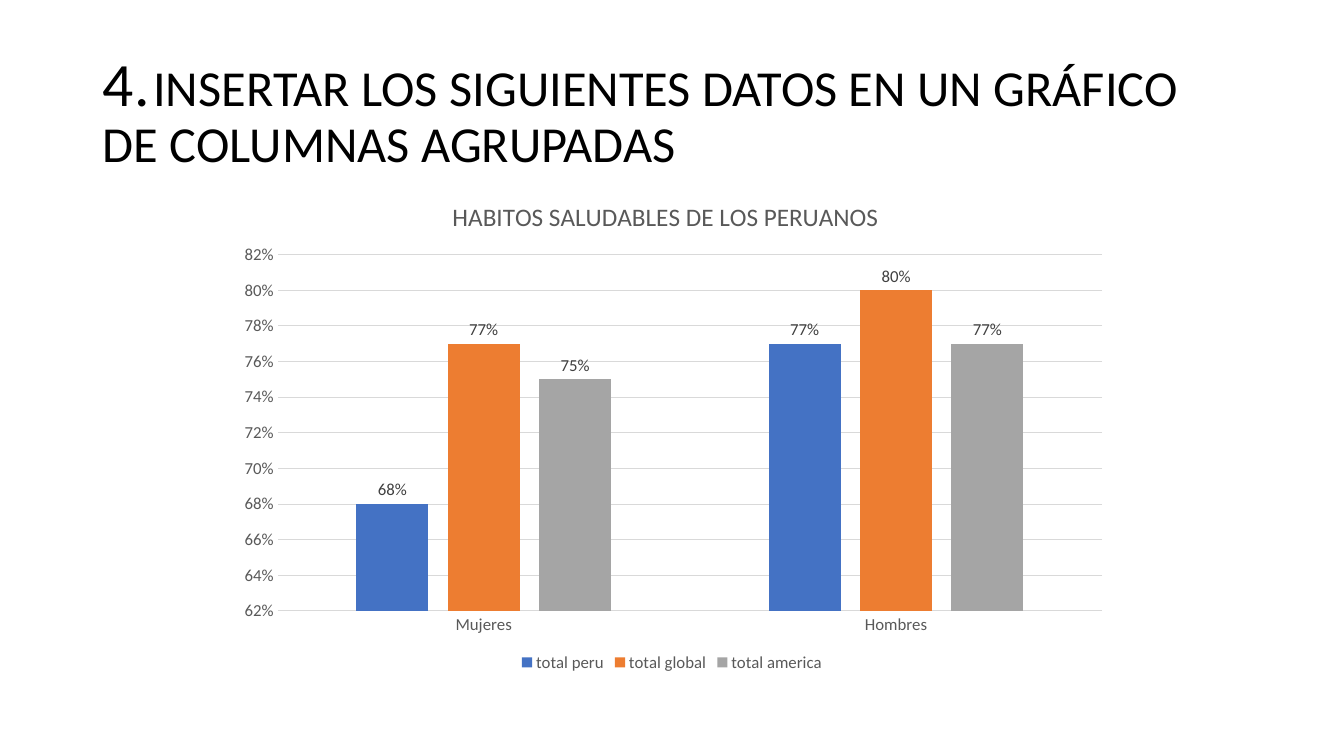
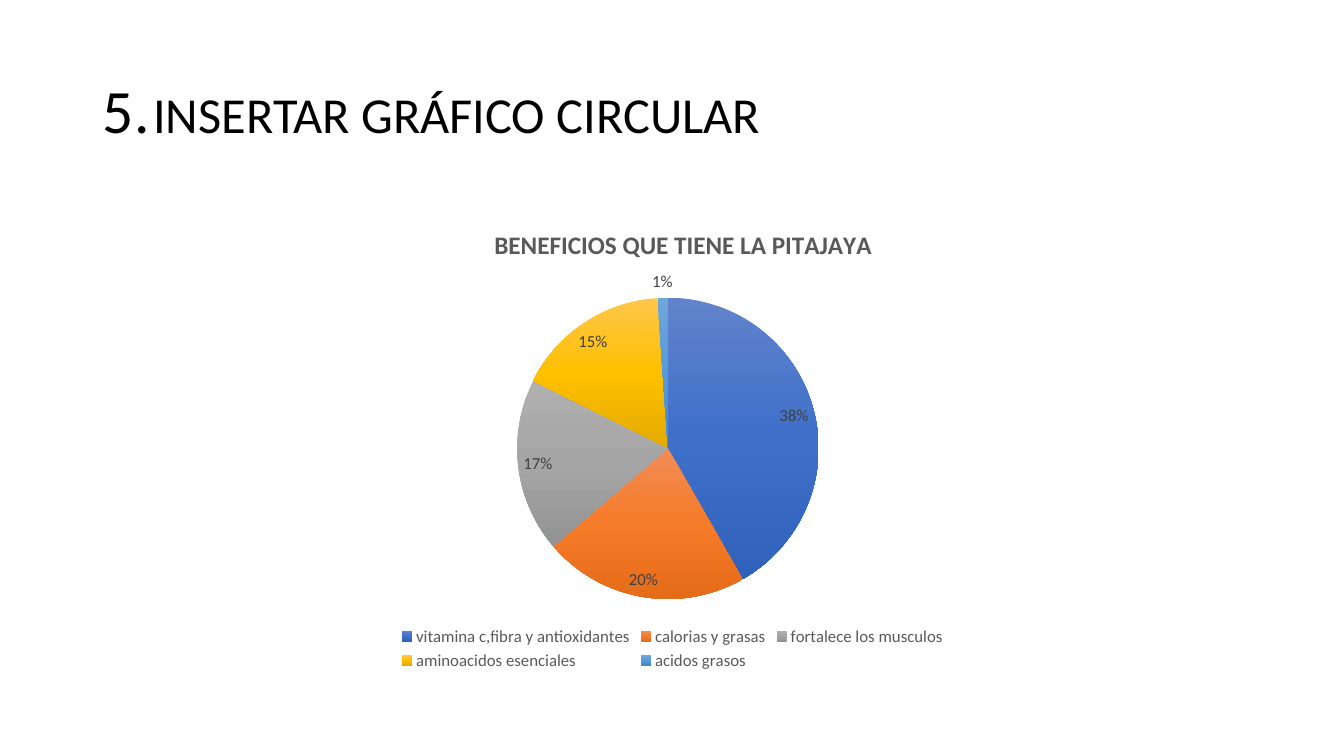
import copy

import pptx
import pptx.chart.data
import pptx.dml.color
import pptx.enum.chart
import pptx.enum.text
import pptx.oxml
import pptx.oxml.ns
import pptx.util

Inches, Pt = pptx.util.Inches, pptx.util.Pt
RGBColor = pptx.dml.color.RGBColor
XL = pptx.enum.chart

FONT = "Calibri"
BLACK = RGBColor(0x00, 0x00, 0x00)
DARK_GRAY = RGBColor(0x40, 0x40, 0x40)
TEXT_GRAY = RGBColor(0x59, 0x59, 0x59)
LINE_GRAY = RGBColor(0xD9, 0xD9, 0xD9)
BAR_COLORS = [RGBColor(0x44, 0x72, 0xC4), RGBColor(0xED, 0x7D, 0x31), RGBColor(0xA5, 0xA5, 0xA5)]
PIE_GRADIENTS = [
    (RGBColor(0x61, 0x83, 0xCB), RGBColor(0x3E, 0x70, 0xCA), RGBColor(0x30, 0x62, 0xBB)),
    (RGBColor(0xF1, 0x8C, 0x57), RGBColor(0xF6, 0x7B, 0x28), RGBColor(0xE5, 0x6C, 0x19)),
    (RGBColor(0xAF, 0xAF, 0xAF), RGBColor(0xA5, 0xA5, 0xA5), RGBColor(0x93, 0x93, 0x93)),
    (RGBColor(0xFF, 0xC6, 0x4B), RGBColor(0xFF, 0xC0, 0x00), RGBColor(0xE3, 0xAB, 0x00)),
    (RGBColor(0x71, 0xA6, 0xDB), RGBColor(0x55, 0x9B, 0xDB), RGBColor(0x44, 0x8A, 0xCA)),
]


def set_font(font, size, color, bold=False):
    font.name = FONT
    font.size = Pt(size)
    font.color.rgb = color
    font.bold = bold


def set_layout(parent, index, target, **box):
    for old in parent.xpath("c:layout"):
        parent.remove(old)
    modes = "".join(f'<c:{k}Mode val="edge"/>' for k in "xy")
    values = "".join(f'<c:{k} val="{v}"/>' for k, v in box.items())
    parent.insert(index, pptx.oxml.parse_xml(
        f'<c:layout {pptx.oxml.ns.nsdecls("c")}><c:manualLayout>'
        f'{target}{modes}{values}</c:manualLayout></c:layout>'))


bar_data = pptx.chart.data.CategoryChartData(number_format="0%")
bar_data.categories = ["Mujeres", "Hombres"]
bar_data.add_series("total peru", [0.68, 0.77])
bar_data.add_series("total global", [0.77, 0.8])
bar_data.add_series("total america", [0.75, 0.77])

pie_data = pptx.chart.data.CategoryChartData(number_format="0%")
pie_data.categories = [
    "vitamina c,fibra y antioxidantes", "calorias y grasas", "fortalece los musculos",
    "aminoacidos esenciales", "acidos grasos",
]
pie_data.add_series("Series 1", [0.38, 0.2, 0.17, 0.15, 0.01])

SLIDES = [
    dict(number="4.", heading="INSERTAR LOS SIGUIENTES DATOS EN UN GRÁFICO DE COLUMNAS AGRUPADAS",
         kind=XL.XL_CHART_TYPE.COLUMN_CLUSTERED, data=bar_data, box=(2.22, 1.73, 8.89, 4.98),
         title="HABITOS SALUDABLES DE LOS PERUANOS", bold=False,
         title_at=dict(x=0.25, y=0.04), plot_at=dict(x=0.06, y=0.16, w=0.92, h=0.71),
         label_pos=XL.XL_LABEL_POSITION.OUTSIDE_END),
    dict(number="5.", heading="INSERTAR GRÁFICO CIRCULAR",
         kind=XL.XL_CHART_TYPE.PIE, data=pie_data, box=(2.14, 2.02, 9.06, 4.67),
         title="BENEFICIOS QUE TIENE LA PITAJAYA", bold=True,
         title_at=dict(x=0.3, y=0.04), plot_at=dict(x=0.33, y=0.2, w=0.33, h=0.64),
         label_pos=XL.XL_LABEL_POSITION.BEST_FIT),
]

prs = pptx.Presentation()
prs.slide_width, prs.slide_height = Inches(13.33), Inches(7.5)

charts = []
for item in SLIDES:
    s = prs.slides.add_slide(prs.slide_layouts[5])
    title = s.shapes.title
    title.left, title.top, title.width, title.height = map(Inches, (0.92, 0.4, 11.5, 1.45))
    tf = title.text_frame
    tf.auto_size = pptx.enum.text.MSO_AUTO_SIZE.NONE
    tf.vertical_anchor = pptx.enum.text.MSO_ANCHOR.MIDDLE
    p = tf.paragraphs[0]
    p.alignment = pptx.enum.text.PP_ALIGN.LEFT
    p.line_spacing = 0.9
    for text, size in ((item["number"] + "\t", 44), (item["heading"], 36)):
        r = p.add_run()
        r.text = text
        set_font(r.font, size, BLACK)

    chart = s.shapes.add_chart(item["kind"], *map(Inches, item["box"]), item["data"]).chart
    charts.append(chart)
    set_font(chart.font, 10, BLACK)
    chart.has_title = True
    p = chart.chart_title.text_frame.paragraphs[0]
    r = p.add_run()
    r.text = item["title"]
    set_font(p.font, 18, TEXT_GRAY, item["bold"])
    set_layout(chart.chart_title._element, 1, "", **item["title_at"])
    set_layout(chart._chartSpace.xpath("c:chart/c:plotArea")[0], 0,
               '<c:layoutTarget val="inner"/>', **item["plot_at"])

    chart.has_legend = True
    chart.legend.position = XL.XL_LEGEND_POSITION.BOTTOM
    chart.legend.include_in_layout = False
    set_font(chart.legend.font, 12, TEXT_GRAY)

    plot = chart.plots[0]
    plot.has_data_labels = True
    labels = plot.data_labels
    labels.show_value = True
    labels.show_percentage = False
    labels.number_format = "0%"
    labels.number_format_is_linked = False
    labels.position = item["label_pos"]
    set_font(labels.font, 12, DARK_GRAY)

bar_chart, pie_chart = charts

plot = bar_chart.plots[0]
plot.vary_by_categories = False
plot.gap_width = 219
plot.overlap = -27
for series, color in zip(plot.series, BAR_COLORS):
    series.format.fill.solid()
    series.format.fill.fore_color.rgb = color

for axis in (bar_chart.category_axis, bar_chart.value_axis):
    axis.major_tick_mark = axis.minor_tick_mark = XL.XL_TICK_MARK.NONE
    set_font(axis.tick_labels.font, 12, TEXT_GRAY)

value_axis = bar_chart.value_axis
value_axis.minimum_scale = 0.62
value_axis.maximum_scale = 0.82
value_axis.major_unit = 0.02
value_axis.tick_labels.number_format = "0%"
value_axis.tick_labels.number_format_is_linked = False
value_axis.format.line.fill.background()
value_axis.has_major_gridlines = True
for line in (value_axis.major_gridlines.format.line, bar_chart.category_axis.format.line):
    line.color.rgb = LINE_GRAY
    line.width = Pt(0.75)

plot = pie_chart.plots[0]
plot.vary_by_categories = True
series = plot.series[0]
for i, colors in enumerate(PIE_GRADIENTS):
    fill = series.points[i].format.fill
    fill.gradient()
    fill.gradient_angle = 270
    stops = series._element.xpath(".//a:gsLst")[i]
    stops.append(copy.deepcopy(stops[0]))
    for stop, position, color in zip(fill.gradient_stops, (0, 0.5, 1), colors):
        stop.position = position
        stop.color.rgb = color

prs.save("out.pptx")
